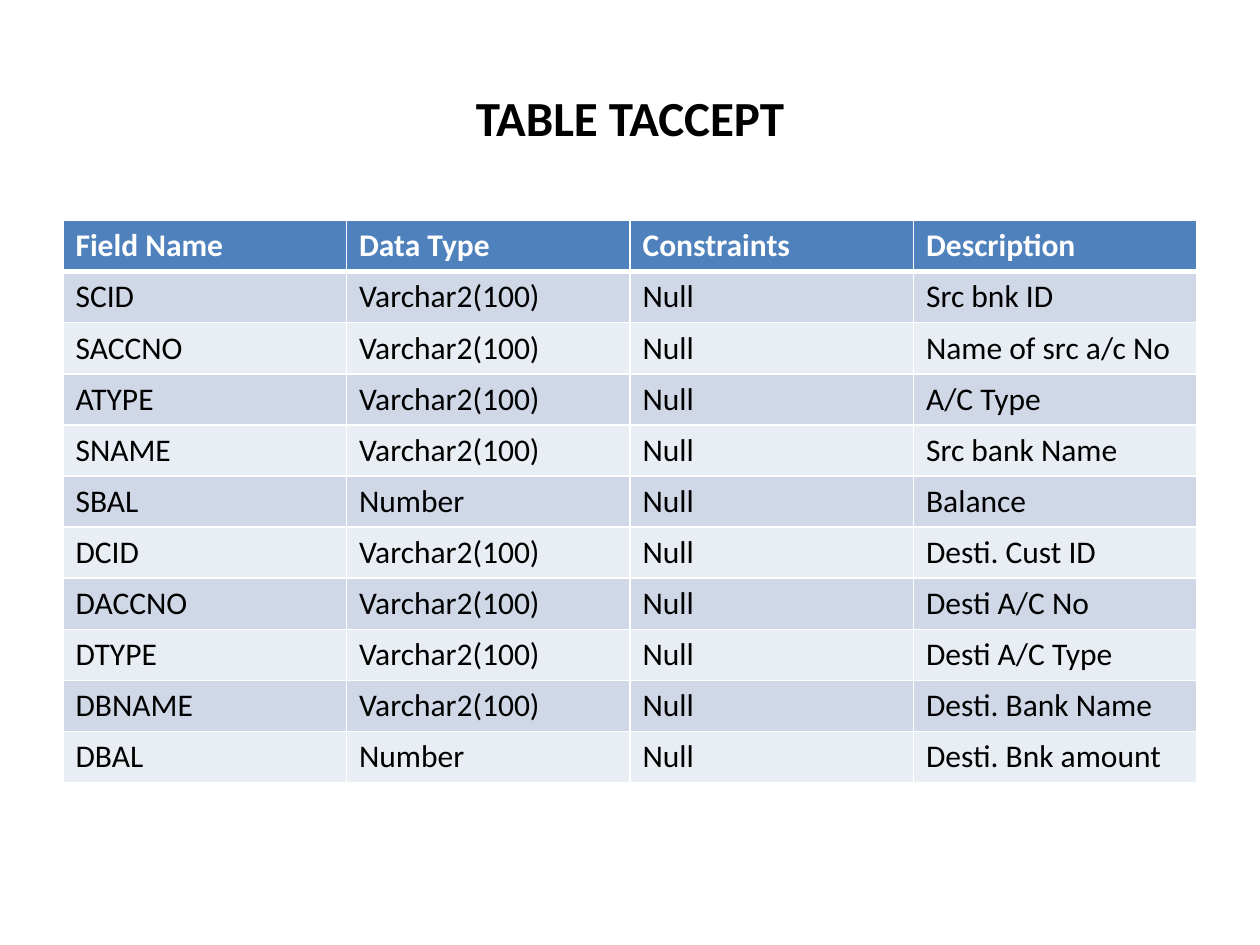
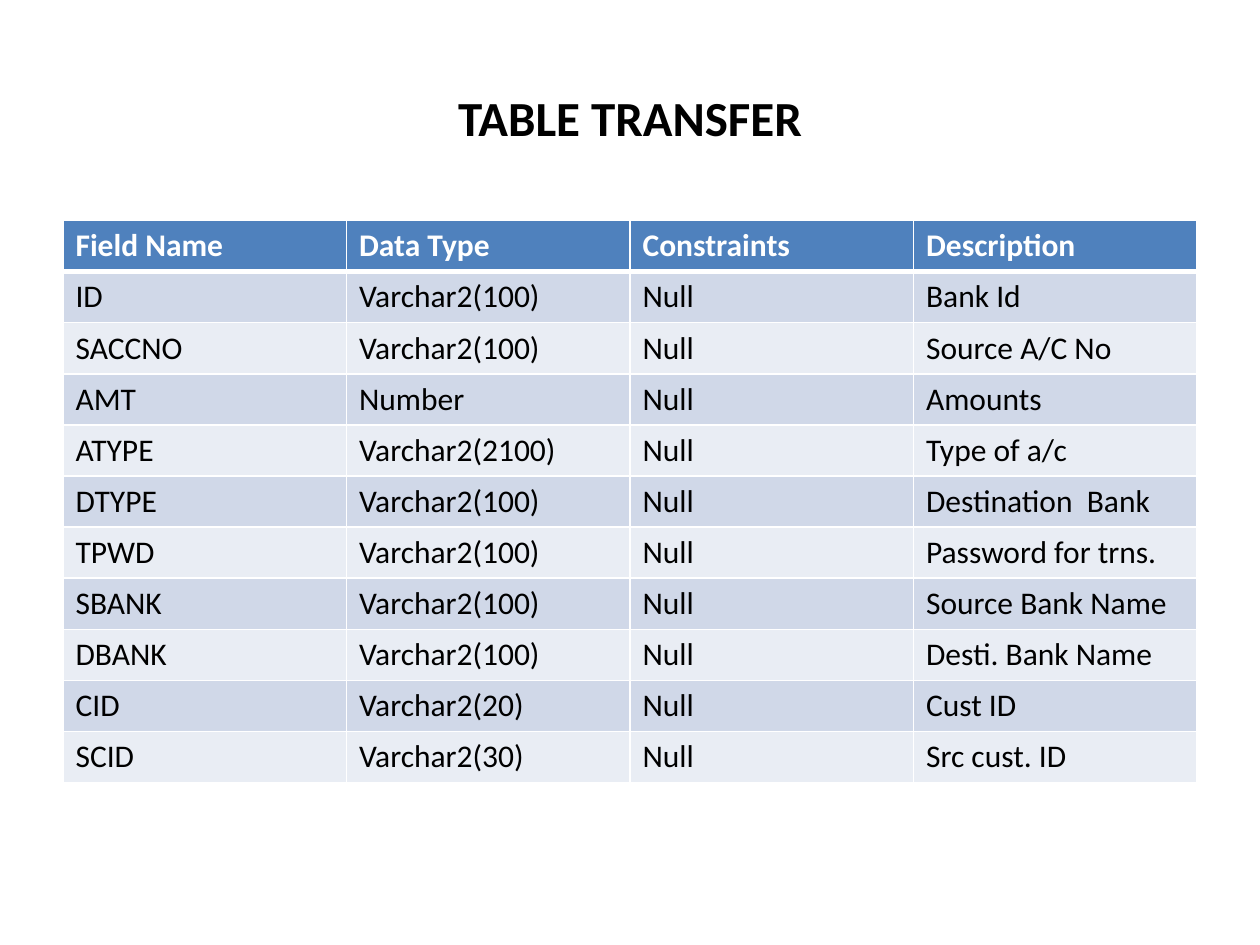
from dataclasses import dataclass

from lxml import etree
from pptx import Presentation
from pptx.dml.color import RGBColor
from pptx.enum.text import MSO_ANCHOR, PP_ALIGN
from pptx.oxml.ns import qn
from pptx.util import Pt

CENTER = PP_ALIGN.CENTER
MIDDLE = MSO_ANCHOR.MIDDLE

COLORS = {
    "text": "000000",
    "header_text": "FFFFFF",
    "header": "4F81BD",
    "odd_row": "D0D8E8",
    "even_row": "E9EDF4",
    "border": "FFFFFF",
}
FONT = "Calibri"
LEFT, WIDTH = 36, 648
TITLE_TOP, TITLE_HEIGHT, TITLE_SIZE = 21.6, 90, 28
TABLE_TOP, ROW_HEIGHT, CELL_SIZE = 126, 29.2, 18
THIN, THICK = 1, 3
HEADINGS = ("Field Name", "Data Type", "Constraints", "Description")
TEXT_100 = "Varchar2(100)"


@dataclass(frozen=True)
class Field:
    name: str
    data_type: str
    description: str
    constraint: str = "Null"

    def values(self) -> tuple[str, ...]:
        return self.name, self.data_type, self.constraint, self.description


@dataclass(frozen=True)
class TableSlide:
    title: str
    fields: tuple[Field, ...]


TABLE_SLIDES = (
    TableSlide("TABLE TACCEPT", (
        Field("SCID", TEXT_100, "Src bnk ID"),
        Field("SACCNO", TEXT_100, "Name of src a/c No"),
        Field("ATYPE", TEXT_100, "A/C Type"),
        Field("SNAME", TEXT_100, "Src bank Name"),
        Field("SBAL", "Number", "Balance"),
        Field("DCID", TEXT_100, "Desti. Cust ID"),
        Field("DACCNO", TEXT_100, "Desti A/C No"),
        Field("DTYPE", TEXT_100, "Desti A/C Type"),
        Field("DBNAME", TEXT_100, "Desti. Bank Name"),
        Field("DBAL", "Number", "Desti. Bnk amount"),
    )),
    TableSlide("TABLE TRANSFER", (
        Field("ID", TEXT_100, "Bank Id"),
        Field("SACCNO", TEXT_100, "Source A/C No"),
        Field("AMT", "Number", "Amounts"),
        Field("ATYPE", "Varchar2(2100)", "Type of a/c"),
        Field("DTYPE", TEXT_100, "Destination  Bank"),
        Field("TPWD", TEXT_100, "Password for trns."),
        Field("SBANK", TEXT_100, "Source Bank Name"),
        Field("DBANK", TEXT_100, "Desti. Bank Name"),
        Field("CID", "Varchar2(20)", "Cust ID"),
        Field("SCID", "Varchar2(30)", "Src cust. ID"),
    )),
)


def add_span(para, text: str, size: float, color: str, bold: bool) -> None:
    span = para.add_run()
    span.text = text
    span.font.name = FONT
    span.font.size = Pt(size)
    span.font.bold = bold
    span.font.color.rgb = RGBColor.from_string(COLORS[color])


def add_title(page, text: str) -> None:
    box = page.shapes.add_textbox(Pt(LEFT), Pt(TITLE_TOP), Pt(WIDTH), Pt(TITLE_HEIGHT))
    frame = box.text_frame
    frame.word_wrap = True
    frame.vertical_anchor = MIDDLE
    para = frame.paragraphs[0]
    para.alignment = CENTER
    add_span(para, text, TITLE_SIZE, "text", True)


def set_borders(cell, top: float, bottom: float) -> None:
    properties = cell._tc.get_or_add_tcPr()
    for side, width in (("L", THIN), ("R", THIN), ("T", top), ("B", bottom)):
        line = etree.SubElement(properties, qn(f"a:ln{side}"), w=str(Pt(width)))
        fill = etree.SubElement(line, qn("a:solidFill"))
        etree.SubElement(fill, qn("a:srgbClr"), val=COLORS["border"])


def style_cell(cell, text: str, row: int) -> None:
    is_header = row == 0
    # Borders come before the fill in the cell properties
    set_borders(cell, THICK if row == 1 else THIN, THICK if is_header else THIN)
    fill = "header" if is_header else "odd_row" if row % 2 else "even_row"
    cell.fill.solid()
    cell.fill.fore_color.rgb = RGBColor.from_string(COLORS[fill])
    color = "header_text" if is_header else "text"
    add_span(cell.text_frame.paragraphs[0], text, CELL_SIZE, color, is_header)


def add_field_table(page, fields: tuple[Field, ...]) -> None:
    rows = [HEADINGS, *(field.values() for field in fields)]
    table = page.shapes.add_table(
        len(rows), len(HEADINGS), Pt(LEFT), Pt(TABLE_TOP),
        Pt(WIDTH), Pt(ROW_HEIGHT * len(rows)),
    ).table
    for column in table.columns:
        column.width = Pt(WIDTH / len(HEADINGS))
    for row, values in enumerate(rows):
        table.rows[row].height = Pt(ROW_HEIGHT)
        for column, text in enumerate(values):
            style_cell(table.cell(row, column), text, row)


def main() -> None:
    deck = Presentation()
    deck.slide_width, deck.slide_height = Pt(720), Pt(540)
    blank = deck.slide_layouts[6]
    for table_slide in TABLE_SLIDES:
        page = deck.slides.add_slide(blank)
        add_title(page, table_slide.title)
        add_field_table(page, table_slide.fields)
    deck.save("out.pptx")


if __name__ == "__main__":
    main()
